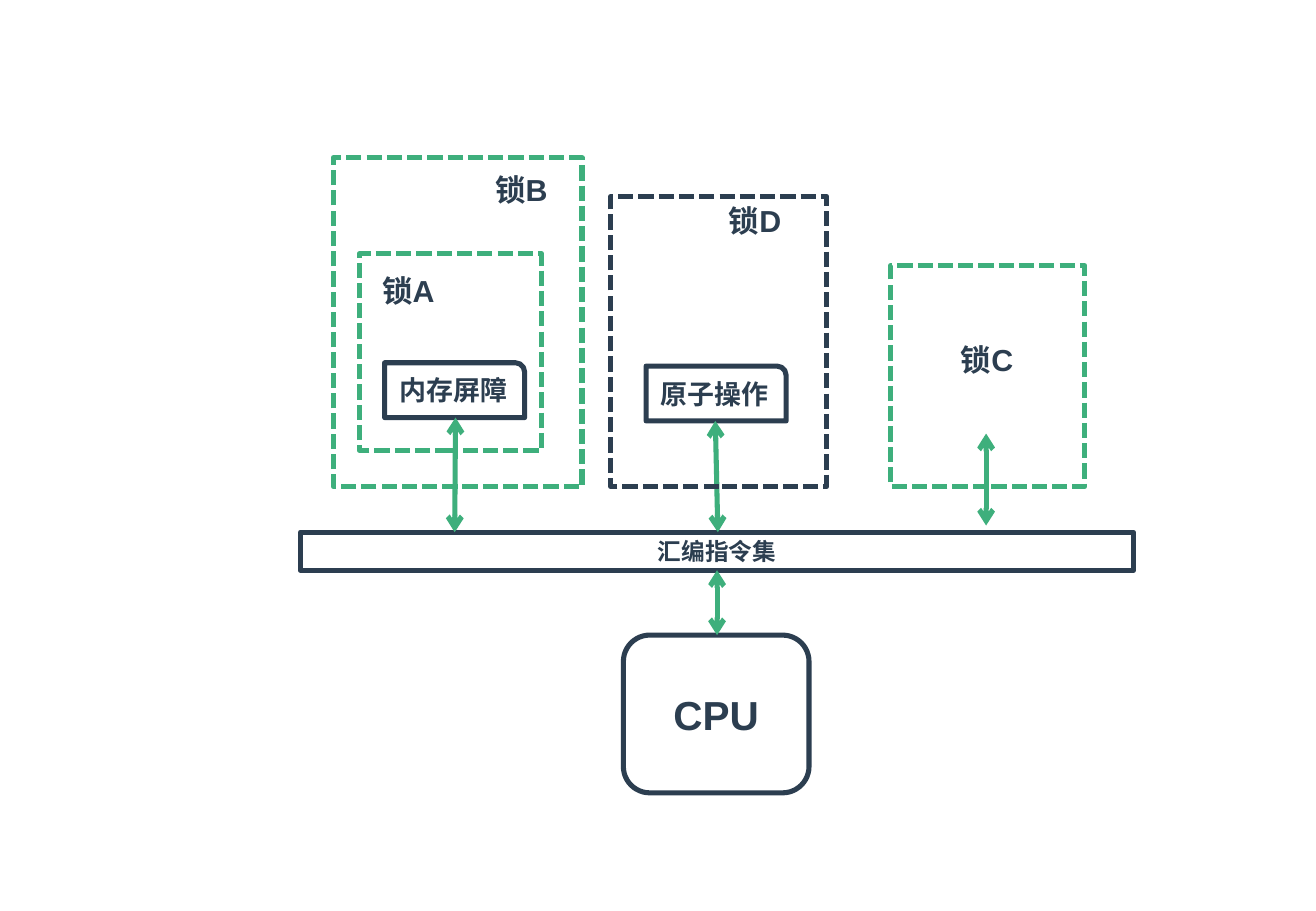
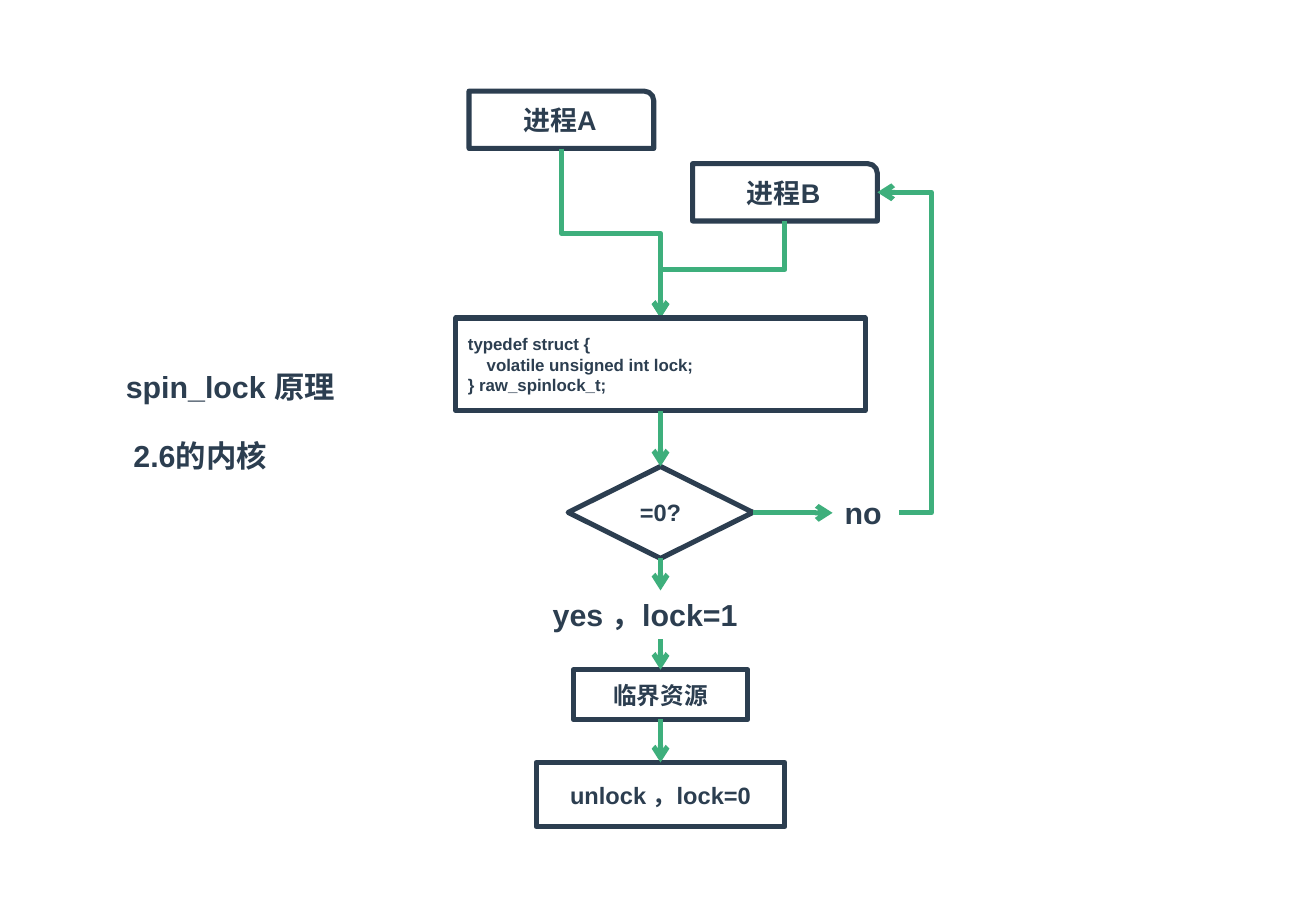
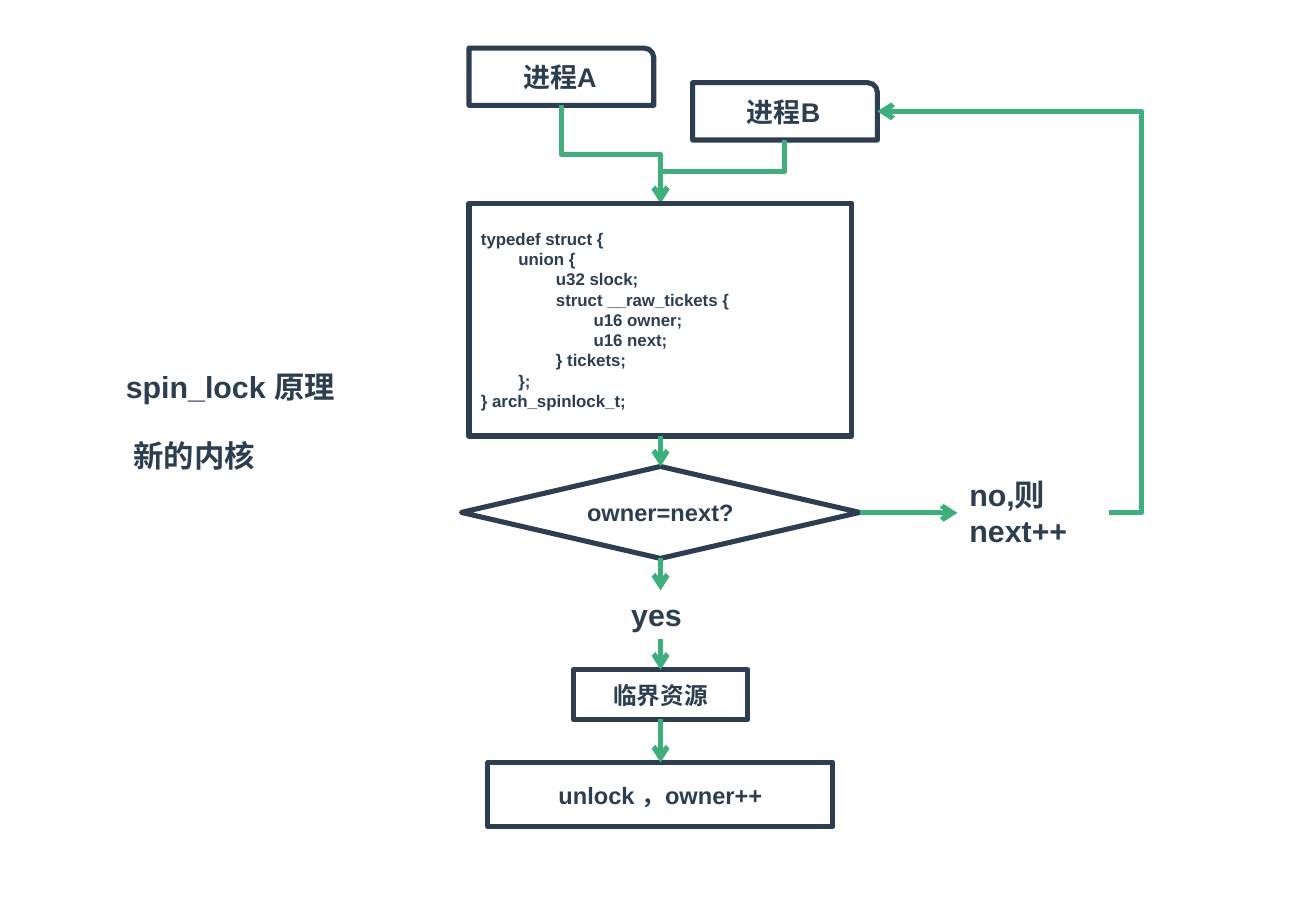
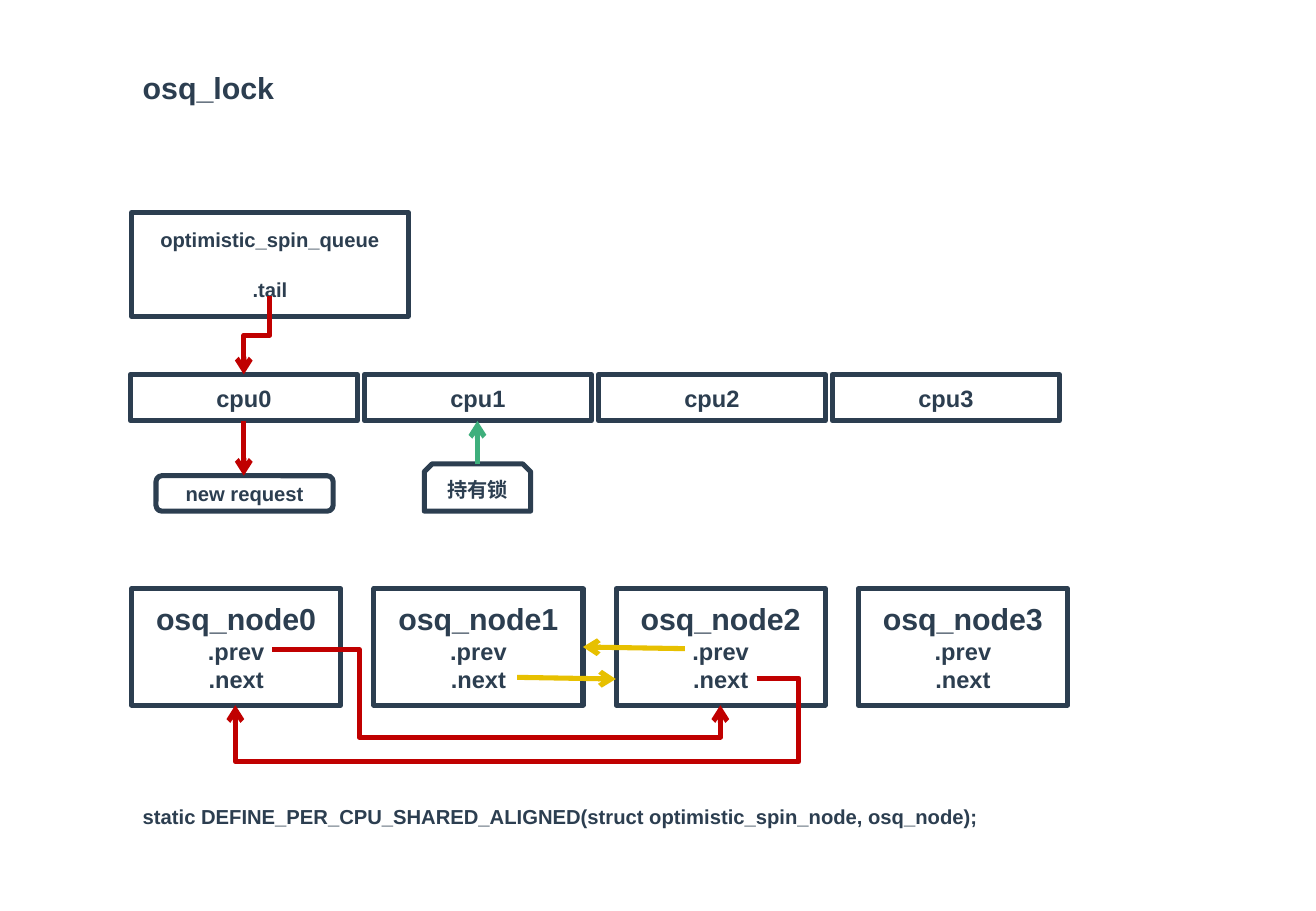
from pptx import Presentation
from pptx.dml.color import RGBColor
from pptx.enum.dml import MSO_LINE
from pptx.enum.shapes import MSO_CONNECTOR, MSO_SHAPE
from pptx.enum.text import MSO_ANCHOR, MSO_AUTO_SIZE, PP_ALIGN
from pptx.oxml.ns import qn
from pptx.util import Pt
from lxml.etree import SubElement

HUE = {"ink": "2C3E50", "green": "3EAF7C", "red": "C00000", "gold": "E7C000"}
FONT = "Arial"
LINE = 3
MID = 391.5  # axis of the flow charts

OLD = """typedef struct {
\tvolatile unsigned int lock;
} raw_spinlock_t;"""

NEW = """typedef struct {
\tunion {
\t\tu32 slock;
\t\tstruct __raw_tickets {
\t\t\tu16 owner;
\t\t\tu16 next;
\t\t} tickets;
\t};
} arch_spinlock_t;"""


def hue(name):
    """Return the named colour."""
    return RGBColor.from_string(HUE[name])


def write(frame, text, size=18, head=None, align=PP_ALIGN.LEFT, step=0, gap=0):
    """Write lines; tabs count indent steps, head is the first line's size."""
    frame.word_wrap = True
    for i, line in enumerate(text.split("\n")):
        para = frame.paragraphs[0] if i == 0 else frame.add_paragraph()
        para.alignment = align
        words = line.lstrip("\t")
        depth = len(line) - len(words)
        if depth:
            para._p.get_or_add_pPr().set("marL", str(Pt(depth * step)))
        if i and gap:
            para.space_before = Pt(gap)
        run = para.add_run()
        run.text = words
        font = run.font
        font.name, font.bold = FONT, True
        font.size = Pt(head if head and i == 0 else size)
        font.color.rgb = hue("ink")


def label(page, text, x, y, w, h=29, **form):
    """Add free text."""
    box = page.shapes.add_textbox(Pt(x), Pt(y), Pt(w), Pt(h))
    write(box.text_frame, text, **form)
    box.text_frame.auto_size = MSO_AUTO_SIZE.SHAPE_TO_FIT_TEXT


def box(page, text, x, y, w, h, kind=MSO_SHAPE.RECTANGLE, color="ink",
        dash=False, size=14, align=PP_ALIGN.CENTER, **form):
    """Add an outlined shape with text in its middle."""
    shape = page.shapes.add_shape(kind, Pt(x), Pt(y), Pt(w), Pt(h))
    shape.shadow.inherit = False
    shape.fill.background()
    shape.line.color.rgb = hue(color)
    shape.line.width = Pt(LINE)
    if dash:
        shape.line.dash_style = MSO_LINE.SQUARE_DOT
    shape.text_frame.vertical_anchor = MSO_ANCHOR.MIDDLE
    if text:
        write(shape.text_frame, text, size=size, align=align, **form)


def task(page, text, x, y, w, h):
    """Add a box with one round corner."""
    box(page, text, x, y, w, h, size=16, kind=MSO_SHAPE.ROUND_1_RECTANGLE)


def style(link, color, both):
    """Give a connector its colour, width and arrowheads."""
    link.line.color.rgb = hue(color)
    link.line.width = Pt(LINE)
    stroke = link.line._get_or_add_ln()
    for end in ("a:headEnd", "a:tailEnd") if both else ("a:tailEnd",):
        SubElement(stroke, qn(end)).set("type", "arrow")
    SubElement(link.element.spPr, qn("a:effectLst"))


def arrow(page, start, end, color="green", both=False):
    """Add a straight arrow."""
    ends = [Pt(v) for v in (*start, *end)]
    style(page.shapes.add_connector(MSO_CONNECTOR.STRAIGHT, *ends), color, both)


def bend(page, start, end, stops=(), down=False, color="green"):
    """Add an elbow arrow; stops are where it turns, x and y by turns."""
    dx, dy = end[0] - start[0], end[1] - start[1]
    if down:
        turn, flip = 90, dx > 0
    elif dx < 0:
        turn, flip = 180, dy > 0
    else:
        turn, flip = 0, dy < 0
    w, h = (abs(dy), abs(dx)) if down else (abs(dx), abs(dy))
    x = (start[0] + end[0] - w) / 2
    y = (start[1] + end[1] - h) / 2
    top, base = (y + h, y) if flip else (y, y + h)
    link = page.shapes.add_connector(
        MSO_CONNECTOR.ELBOW, Pt(x), Pt(top), Pt(x + w), Pt(base))
    link.rotation = turn

    first = 1 if down else 0
    stops = stops or ((start[first] + end[first]) / 2,)
    geom = link.element.spPr.find(qn("a:prstGeom"))
    geom.set("prst", f"bentConnector{len(stops) + 2}")
    rules = geom.find(qn("a:avLst"))
    for i, stop in enumerate(stops):
        axis = (first + i) % 2
        part = (stop - start[axis]) / (end[axis] - start[axis])
        rule = SubElement(rules, qn("a:gd"))
        rule.set("name", f"adj{i + 1}")
        rule.set("fmla", f"val {round(part * 100000)}")
    style(link, color, False)


def locks(page):
    """Draw the locks above the instruction set and the CPU."""
    task(page, "内存屏障", 228, 215, 83, 32.5)
    task(page, "原子操作", 383, 217, 83, 32.5)
    box(page, "CPU", 369.5, 376.5, 110, 93.5, size=24,
        kind=MSO_SHAPE.ROUNDED_RECTANGLE)
    box(page, "汇编指令集", 178, 315.5, 494, 22.5)
    for start, end in (
        ((270, 247.5), (269.5, 315.5)),
        ((424, 249.5), (425.5, 315.5)),
        ((425, 338), (425, 376.5)),
        ((584.5, 257), (584.5, 311.5)),
    ):
        arrow(page, start, end, both=True)
    for name, color, area, spot in (
        ("A", "green", (213, 150.5, 108, 116.5), (219.5, 157.5, 47)),
        ("B", "green", (197.5, 93.5, 147.5, 195), (286.5, 98, 46)),
        ("C", "green", (528, 157.5, 115, 131), (562.5, 198.5, 45.5)),
        ("D", "ink", (362, 116.5, 128, 172), (425, 116.5, 59)),
    ):
        box(page, "", *area, color=color, dash=True)
        label(page, "锁" + name, *spot)


def flow(page, title, tops, code, area, step, test, no, yes, last):
    """Draw the flow of one spin lock version."""
    def mid(text, y, w, h, **form):
        """Add a box on the axis."""
        box(page, text, MID - w / 2, y, w, h, **form)

    label(page, "spin_lock 原理", 67.5, 214.5, 150)
    label(page, title, 72, 255.5, 101)
    wide, high = 109.5, 34
    code_y, code_w, code_h = area
    for name, x, y in zip("AB", (278, 410.5), tops):
        task(page, "进程" + name, x, y, wide, high)
        bend(page, (x + wide / 2, y + high), (MID, code_y), down=True)
    back = (410.5 + wide, tops[1] + high / 2)

    mid(code, code_y, code_w, code_h, size=10, align=PP_ALIGN.LEFT, step=step)
    query, test_w = test
    mid(query, 276.5, test_w, 54.5, kind=MSO_SHAPE.DIAMOND)
    mid("临界资源", 397, 103.5, 29.5)
    final, last_w = last
    mid(final, 452, last_w, 38)
    reply, yes_w = yes
    label(page, reply, MID - yes_w / 2, 350, yes_w)

    for start, end in ((code_y + code_h, 276.5), (331, 350),
                       (379, 397), (426.5, 452)):
        arrow(page, (MID, start), (MID, end))

    reply, x, w, h = no
    axis = 304
    label(page, reply, x, axis - h / 2, w, h)
    arrow(page, (MID + test_w / 2, axis), (x, axis))
    bend(page, (x + w, axis), back, stops=(x + w + 19,))


def queue(page):
    """Draw the queue, its CPUs and its nodes."""
    label(page, "osq_lock", 77.5, 37.5, 200)
    label(page, "static DEFINE_PER_CPU_SHARED_ALIGNED"
          "(struct optimistic_spin_node, osq_node);",
          77.5, 473, 577.5, 21.5, size=12)
    box(page, "optimistic_spin_queue\n.tail", 78, 126, 164, 61.5,
        size=12, gap=15)
    for i in range(4):
        box(page, f"cpu{i}", 77.3 + i * 138.7, 222, 134.5, 27.5)
        box(page, f"osq_node{i}\n.prev\n.next", 78 + i * 143.6, 349, 124, 69,
            head=18)
    box(page, "持有锁", 251.5, 275, 63, 28, size=12,
        kind=MSO_SHAPE.SNIP_2_SAME_RECTANGLE)
    box(page, "new request", 92.5, 282, 105, 21, size=12,
        kind=MSO_SHAPE.ROUNDED_RECTANGLE)

    bend(page, (160, 175.5), (144.5, 222), down=True, color="red")
    arrow(page, (144.5, 249.5), (144.5, 282), color="red")
    arrow(page, (283, 275), (283, 249.5))
    arrow(page, (406, 384.5), (345.5, 383.5), color="gold")
    arrow(page, (306.5, 401.5), (365, 402.5), color="gold")
    bend(page, (161.5, 385), (427, 418), stops=(213, 437), color="red")
    bend(page, (448.5, 402), (139.5, 418), stops=(473.5, 451.5), color="red")


def main():
    """Build and save the slides."""
    deck = Presentation()
    deck.slide_width, deck.slide_height = Pt(780), Pt(540)
    blank = deck.slide_layouts[6]

    def page():
        """Add a blank slide."""
        return deck.slides.add_slide(blank)

    locks(page())
    flow(page(), "2.6的内核", (54, 97), OLD, (188.5, 242.5, 55), 11.12,
         test=("=0?", 109.5), no=("no", 493.5, 39.5, 29),
         yes=("yes ，lock=1", 142), last=("unlock ，lock=0", 147.5))
    flow(page(), "新的内核", (28.5, 49), NEW, (120.5, 227, 138), 22.24,
         test=("owner=next?", 236), no=("no,则\nnext++", 567.5, 90, 51),
         yes=("yes", 49), last=("unlock ，owner++", 204.5))
    queue(page())
    deck.save("out.pptx")


main()
